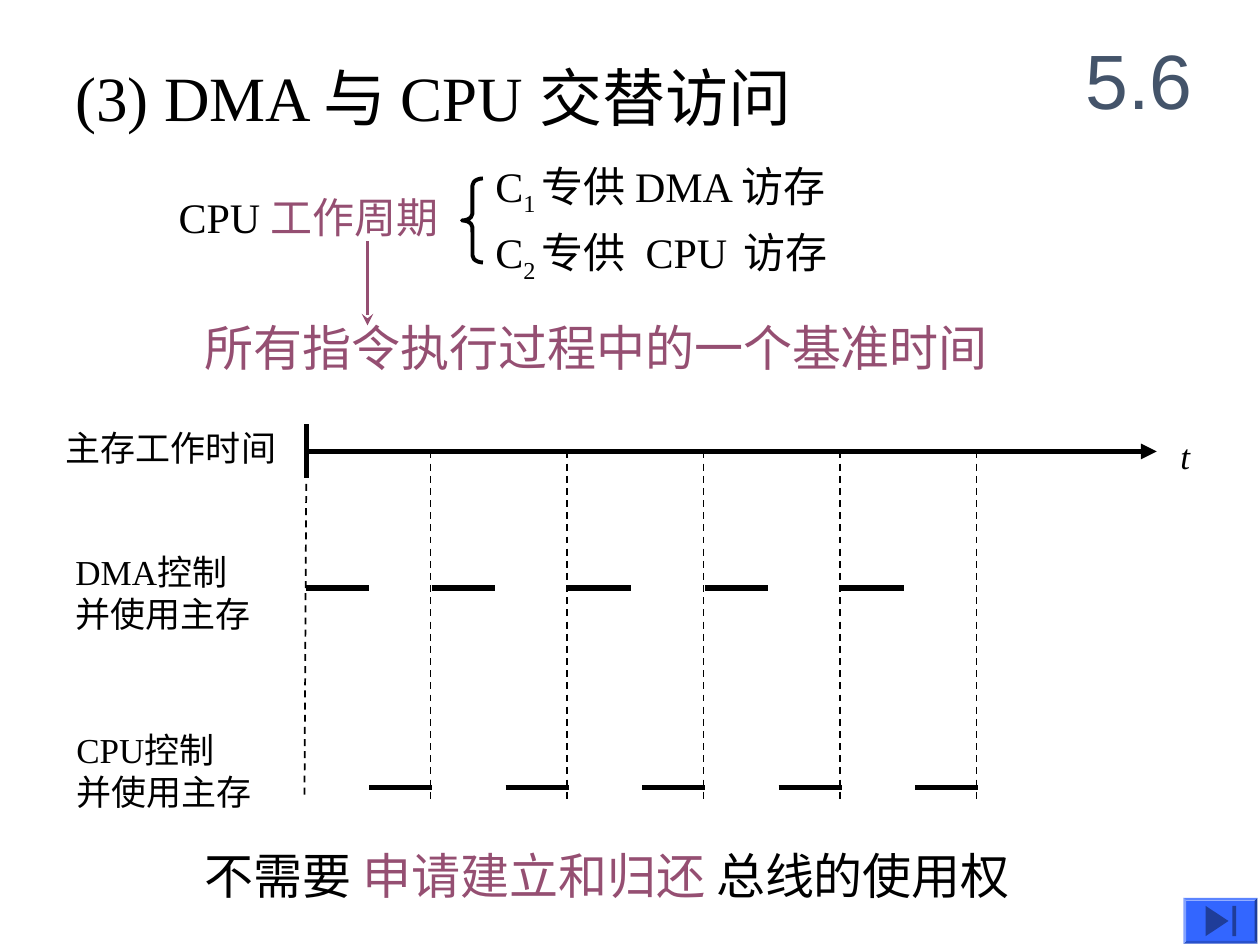
from dataclasses import dataclass
from typing import Optional

import pptx
import pptx.dml.color
import pptx.enum.dml
import pptx.enum.shapes
import pptx.enum.text
import pptx.oxml
import pptx.oxml.ns
import pptx.util

Pt = pptx.util.Pt
MSO_SHAPE = pptx.enum.shapes.MSO_SHAPE


@dataclass(frozen=True)
class Theme:
    ink: str = "000000"
    accent: str = "954F72"
    number: str = "44546A"
    button: str = "3366FF"
    icon: str = "1F3D99"
    serif: str = "Times New Roman"
    sans: str = "Arial"
    title: float = 36
    section: float = 44
    statement: float = 28
    body: float = 24
    label: float = 20


@dataclass(frozen=True)
class Run:
    text: str
    color: Optional[str] = None
    baseline: int = 0  # percent
    spacing: float = 0  # points


@dataclass(frozen=True)
class Label:
    box: tuple[float, float, float, float]
    lines: tuple[str, ...]
    italic: bool = False


T = Theme()


def rgb(value: str) -> pptx.dml.color.RGBColor:
    return pptx.dml.color.RGBColor.from_string(value)


def add_text(s, box, *lines, size=T.body, color=T.ink, font=T.serif,
             italic=False, wrap=True, centered=False):
    """Each line is a string or a list of Run, and becomes one paragraph."""
    tf = s.shapes.add_textbox(*map(Pt, box)).text_frame
    tf.word_wrap = wrap
    if centered:
        tf.vertical_anchor = pptx.enum.text.MSO_ANCHOR.MIDDLE
    else:
        tf.auto_size = pptx.enum.text.MSO_AUTO_SIZE.SHAPE_TO_FIT_TEXT
    for i, line in enumerate(lines):
        p = tf.add_paragraph() if i else tf.paragraphs[0]
        if centered:
            p.alignment = pptx.enum.text.PP_ALIGN.CENTER
        for part in [Run(line)] if isinstance(line, str) else line:
            r = p.add_run()
            r.text = part.text
            r.font.name = font
            r.font.size = Pt(size)
            r.font.italic = italic
            r.font.color.rgb = rgb(part.color or color)
            rpr = r.font._element
            if part.baseline:
                rpr.set("baseline", str(part.baseline * 1000))
            if part.spacing:
                rpr.set("spc", str(int(part.spacing * 100)))


def add_line(s, x1: float, y1: float, x2: float, y2: float, width: float = 3,
             color: str = T.ink, dashed: bool = False, arrow: str = ""):
    c = s.shapes.add_connector(pptx.enum.shapes.MSO_CONNECTOR.STRAIGHT,
                               Pt(x1), Pt(y1), Pt(x2), Pt(y2))
    c.line.color.rgb = rgb(color)
    c.line.width = Pt(width)
    if dashed:
        c.line.dash_style = pptx.enum.dml.MSO_LINE.DASH
    if arrow:
        tail = pptx.oxml.ns.qn("a:tailEnd")
        c.line._get_or_add_ln().append(c._element.makeelement(tail, {"type": arrow}))
    sp_pr = c._element.spPr
    sp_pr.append(sp_pr.makeelement(pptx.oxml.ns.qn("a:effectLst"), {}))


def add_shape(s, kind, box, fill: Optional[str] = None, line: Optional[str] = None):
    sp = s.shapes.add_shape(kind, *map(Pt, box))
    sp.shadow.inherit = False
    if fill:
        sp.fill.solid()
        sp.fill.fore_color.rgb = rgb(fill)
    else:
        sp.fill.background()
    if line:
        sp.line.color.rgb = rgb(line)
        sp.line.width = Pt(2.25)
    else:
        sp.line.fill.background()
    return sp


def add_heading(s):
    add_text(s, (36, 30, 498, 50), "(3) DMA 与 CPU 交替访问", size=T.title)
    add_text(s, (606, 12, 90, 66), "5.6", size=T.section, color=T.number,
             font=T.sans, centered=True)


def add_cycle(s):
    add_text(s, (95, 106, 181.5, 36), [Run("CPU "), Run("工作周期", T.accent)])
    add_text(s, (276, 88, 318, 40),
             [Run("C"), Run("1 ", baseline=-25), Run("专供 DMA 访存")])
    add_text(s, (276, 126, 276, 40),
             [Run("C"), Run("2 ", baseline=-25), Run("专供"), Run(" ", spacing=6),
              Run("CPU"), Run(" ", spacing=3.5), Run("访存")])
    brace = add_shape(s, MSO_SHAPE.LEFT_BRACE, (264, 102, 12, 48), line=T.ink)
    brace.adjustments[0] = 0.33
    add_text(s, (110, 178, 547, 41), "所有指令执行过程中的一个基准时间",
             size=T.statement, color=T.accent)
    add_line(s, 210, 138, 210, 186, width=2.25, color=T.accent, arrow="stealth")


def add_timing(s):
    labels = (
        Label((30.5, 240, 134.5, 31.5), ("主存工作时间",)),
        Label((36, 311, 114.5, 55.5), ("DMA控制", "并使用主存")),
        Label((36.5, 412.5, 114.5, 55.5), ("CPU控制", "并使用主存")),
        Label((667.5, 245, 19.5, 31.5), ("t",), italic=True),
    )
    for label in labels:
        add_text(s, label.box, *label.lines, size=T.label,
                 italic=label.italic, wrap=False)

    # Time axis
    start, axis_y, period, slot = 175, 258, 78, 36
    add_line(s, start, 242.5, start, 273, width=3)
    add_line(s, start, axis_y, 661, axis_y, arrow="triangle")

    # Cycle boundaries
    bounds = [246 + period * i for i in range(5)]
    add_line(s, start, 276.5, 174, 455, width=1, dashed=True)
    for x in bounds:
        add_line(s, x, axis_y, x, 456.5, width=1, dashed=True)

    # DMA takes the first half of each cycle, CPU the second
    dma_starts = [start] + [x + 0.7 for x in bounds[:-1]]
    cpu_starts = [x + 1 - slot for x in bounds]
    for starts, y in ((dma_starts, 336), (cpu_starts, 450)):
        for x in starts:
            add_line(s, x, y, x + slot, y)


def add_button(s):
    bevel = add_shape(s, MSO_SHAPE.BEVEL, (676.3, 513.1, 42.3, 26.2), fill=T.button)
    bevel.adjustments[0] = 0.06
    triangle = add_shape(s, MSO_SHAPE.ISOSCELES_TRIANGLE,
                         (686.9, 519.8, 17.2, 13), fill=T.icon)
    triangle.rotation = 90
    add_shape(s, MSO_SHAPE.RECTANGLE, (704.2, 517.7, 2.2, 17.2), fill=T.icon)


def main():
    prs = pptx.Presentation()
    prs.slide_width, prs.slide_height = Pt(720), Pt(540)
    s = prs.slides.add_slide(prs.slide_layouts[6])
    add_heading(s)
    add_timing(s)
    add_cycle(s)
    # Conclusion
    add_text(s, (110, 479.5, 578, 41),
             [Run("不需要 "), Run("申请建立和归还 ", T.accent), Run("总线的使用权")],
             size=T.statement)
    add_button(s)
    prs.save("out.pptx")


if __name__ == "__main__":
    main()
